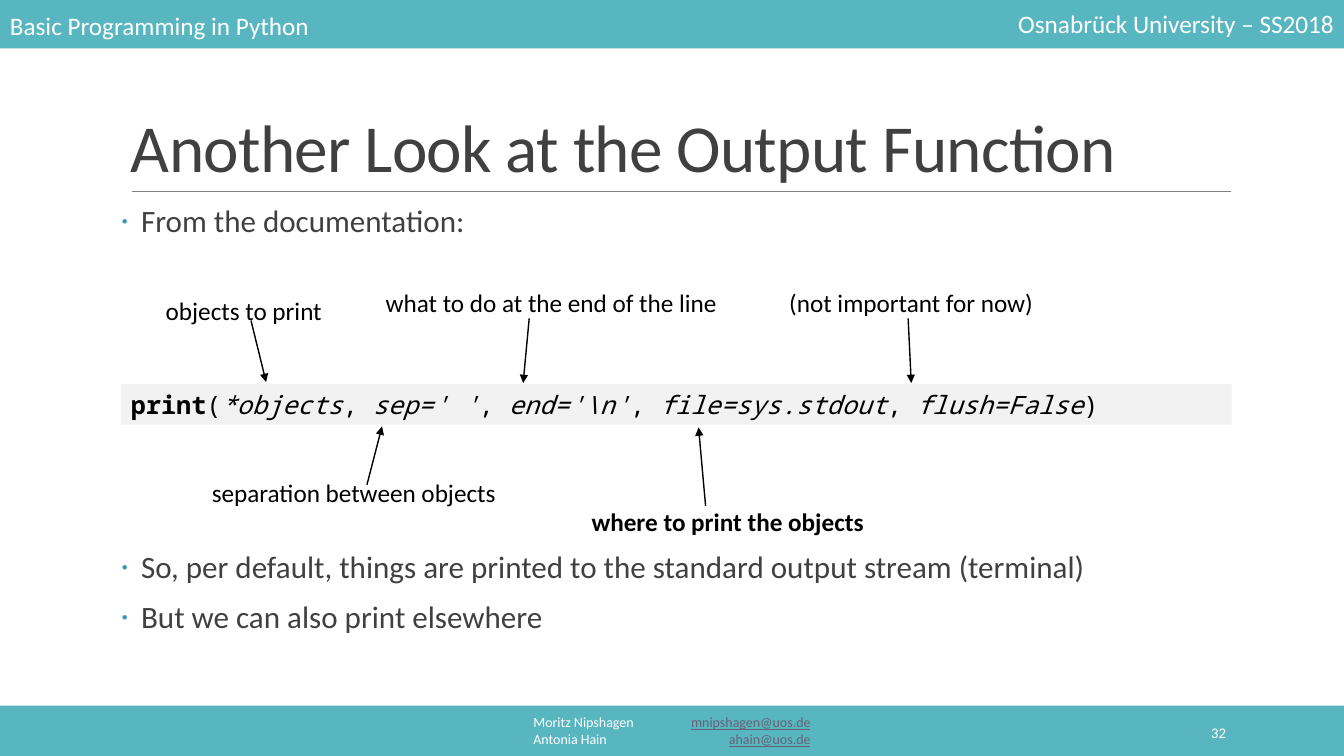
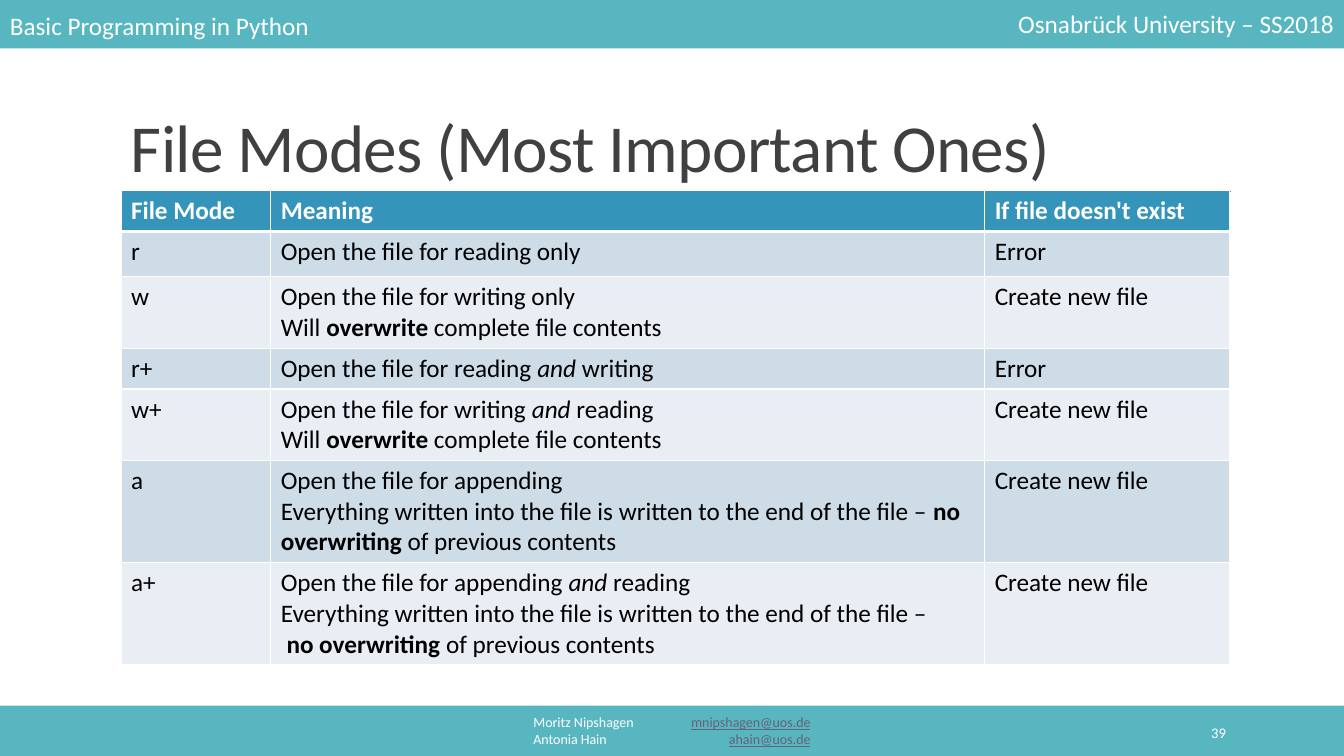
import lxml.etree
import pptx
import pptx.dml.color
import pptx.enum.shapes
import pptx.enum.text
import pptx.oxml.ns
import pptx.util

Pt = pptx.util.Pt
qn = pptx.oxml.ns.qn
ALIGN = pptx.enum.text.PP_ALIGN
ANCHOR = pptx.enum.text.MSO_ANCHOR
NBSP = chr(160)

COLORS = {
    "band": "58B6C0", "white": "FFFFFF", "black": "000000",
    "title": "404040", "rule": "808080", "accent": "3494BA",
    "link": "636378", "code": "F2F2F2", "odd": "CEDCE7", "even": "E8EEF3",
}


def rgb(name):
    return pptx.dml.color.RGBColor.from_string(COLORS[name])


def add_xml(parent, tag, **attrs):
    return lxml.etree.SubElement(parent, qn(tag), attrs)


def add_color(parent, name):
    add_xml(parent, "a:srgbClr", val=COLORS[name])


def add_run(p, text, size=18, color="black", font="Calibri", flags="", spacing=None):
    """Flags: b bold, i italic, u underlined link."""
    r = p.add_run()
    r.text = text
    r.font.name, r.font.size = font, Pt(size)
    r.font.bold, r.font.italic = "b" in flags, "i" in flags
    r.font.underline = "u" in flags
    r.font.color.rgb = rgb("link" if "u" in flags else color)
    if spacing:
        r.font._element.set("spc", str(int(spacing * 100)))


def write(tf, paragraphs, align=None, line_spacing=None, tab=None, bullet=False,
          gaps=(), **fmt):
    """Each paragraph is a string or a list of strings and (text, flags) pairs."""
    for i, pieces in enumerate(paragraphs):
        p = tf.paragraphs[0] if i == 0 else tf.add_paragraph()
        pPr = p._p.get_or_add_pPr()
        if bullet:
            pPr.set("marL", str(Pt(14.4)))
            pPr.set("indent", str(-Pt(14.4)))
            add_color(add_xml(pPr, "a:buClr"), "accent")
            add_xml(pPr, "a:buFont", typeface="Calibri")
            add_xml(pPr, "a:buChar", char="·")
        if tab:
            add_xml(add_xml(pPr, "a:tabLst"), "a:tab", pos=str(Pt(tab)), algn="r")
        if align is not None:
            p.alignment = align
        if line_spacing:
            p.line_spacing = line_spacing
        if gaps:
            p.space_before, p.space_after = Pt(gaps[i]), Pt(2)
        for piece in [pieces] if isinstance(pieces, str) else pieces:
            text, flags = (piece, fmt.get("flags", "")) if isinstance(piece, str) else piece
            add_run(p, text, **{**fmt, "flags": flags})


class Deck:
    def __init__(self):
        self.prs = pptx.Presentation()
        self.prs.slide_width, self.prs.slide_height = Pt(960), Pt(540)
        self.s = None

    def slide(self, title, number):
        self.s = self.prs.slides.add_slide(self.prs.slide_layouts[6])
        self.line((94.3, 136.8), (879.1, 136.8), "rule", 0.5)
        # Bands at top and bottom
        for y in (-1.4, 504):
            self.band(0, y, 960, 36)
        self.text(["Basic Programming in Python"], 0, 3.6, 379.4, 28.8,
                  anchor=ANCHOR.MIDDLE, color="white")
        self.text(["Osnabrück University – SS2018"], 580.6, 2.7, 379.4, 28.8,
                  anchor=ANCHOR.MIDDLE, align=ALIGN.RIGHT, color="white")
        self.text([["Moritz Nipshagen\t", ("mnipshagen@uos.de", "u")],
                   ["Antonia Hain\t", ("ahain@uos.de", "u")]],
                  290.3, 507.6, 379.4, 28.8, anchor=ANCHOR.MIDDLE,
                  align=ALIGN.CENTER, tab=198, size=10, color="white")
        self.text([str(number)], 779.8, 508.6, 103, 28.8, anchor=ANCHOR.MIDDLE,
                  align=ALIGN.RIGHT, size=10.5, color="white")
        # Title
        self.text([title], 86.4, 77.8, 792, 59, anchor=ANCHOR.BOTTOM,
                  line_spacing=0.85, size=48, color="title", spacing=-0.5)

    def band(self, x, y, w, h):
        sp = self.s.shapes.add_shape(pptx.enum.shapes.MSO_SHAPE.RECTANGLE,
                                     Pt(x), Pt(y), Pt(w), Pt(h))
        sp.shadow.inherit = False
        sp.fill.solid()
        sp.fill.fore_color.rgb = rgb("band")
        sp.line.fill.background()

    def text(self, paragraphs, x, y, w, h, anchor=ANCHOR.TOP, fill=None,
             side_margin=7.2, **fmt):
        sp = self.s.shapes.add_textbox(Pt(x), Pt(y), Pt(w), Pt(h))
        tf = sp.text_frame
        tf.word_wrap, tf.vertical_anchor = True, anchor
        tf.margin_left = tf.margin_right = Pt(side_margin)
        if fill:
            sp.fill.solid()
            sp.fill.fore_color.rgb = rgb(fill)
        write(tf, paragraphs, **fmt)

    def line(self, start, end, color="black", width=1, arrow=False):
        cn = self.s.shapes.add_connector(pptx.enum.shapes.MSO_CONNECTOR.STRAIGHT,
                                         *map(Pt, start + end))
        cn.line.color.rgb, cn.line.width = rgb(color), Pt(width)
        if arrow:
            add_xml(cn.get_or_add_ln(), "a:tailEnd", type="triangle")
        add_xml(cn._element.spPr, "a:effectLst")

    def table(self, rows, x, y, widths, heights):
        tbl = self.s.shapes.add_table(len(rows), len(widths), Pt(x), Pt(y),
                                      Pt(sum(widths)), Pt(sum(heights))).table
        for col, w in zip(tbl.columns, widths):
            col.width = Pt(w)
        for i, (row, h) in enumerate(zip(rows, heights)):
            tbl.rows[i].height = Pt(h)
            fill = "accent" if i == 0 else "odd" if i % 2 else "even"
            for j, paragraphs in enumerate(row):
                cell = tbl.cell(i, j)
                self.borders(cell, top=3 if i == 1 else 1, bottom=3 if i == 0 else 1)
                cell.fill.solid()
                cell.fill.fore_color.rgb = rgb(fill)
                write(cell.text_frame, paragraphs, flags="" if i else "b",
                      color="black" if i else "white")

    def borders(self, cell, top, bottom):
        tcPr = cell._tc.get_or_add_tcPr()
        for side, width in (("L", 1), ("R", 1), ("T", top), ("B", bottom)):
            ln = add_xml(tcPr, "a:ln" + side, w=str(Pt(width)))
            add_color(add_xml(ln, "a:solidFill"), "white")


def output_slide(deck):
    deck.slide("Another Look at the Output Function", 32)
    deck.text(["From the documentation:",
               "So, per default, things are printed to the standard output stream (terminal)",
               "But we can also print elsewhere"],
              86.4, 145.4, 792, 334.8, side_margin=0, bullet=True,
              line_spacing=0.8, gaps=(0, 224, 12), size=22.2, color="title")
    # Function signature
    deck.text([[("print", "b"), "(", ("*objects", "i"), ", ", ("sep=' '", "i"), ", ",
                (r"end='\n'", "i"), ", ", ("file=sys.stdout", "i"), ", ",
                ("flush=False", "i"), ")"]],
              86.4, 274.3, 793.4, 29, fill="code", font="Noto Sans Mono")
    # Arrows to the arguments
    for start, end in [((179.3, 229), (190.1, 272.9)),
                       ((262.1, 346.3), (272.9, 304.6)),
                       ((378, 227.5), (373.7, 273.6)),
                       ((504, 361.4), (499, 305.3)),
                       ((648.7, 227.5), (650.9, 273.6))]:
        deck.line(start, end, arrow=True)
    # Captions
    for caption, x, y, w, flags in [
            ("objects to print", 66.2, 207.4, 216, ""),
            ("separation between objects", 136.8, 337.7, 231.8, ""),
            ("what to do at the end of the line", 267.8, 201.6, 252, ""),
            ("where to print the objects", 403.9, 357.8, 231.8, "b"),
            ("(not important for now)", 542.9, 201.6, 216, "")]:
        deck.text([caption], x, y, w, 29, align=ALIGN.CENTER, flags=flags)


def modes_slide(deck):
    deck.slide("File Modes (Most Important Ones)", 39)
    error, create = ["Error"], ["Create new file"]
    overwrite = ["Will ", ("overwrite ", "b"), "complete file contents"]
    append = "Everything written into the file is written to the end of the file –"
    rest = "of previous contents"
    rows = [
        (["File Mode"], ["Meaning"], ["If file doesn't exist"]),
        (["r"], ["Open the file for reading only"], error),
        (["w"], ["Open the file for writing only", overwrite], create),
        (["r+"], [["Open the file for reading ", ("and ", "i"), "writing"]], error),
        (["w+"], [["Open the file for writing ", ("and ", "i"), "reading"], overwrite],
         create),
        (["a"], ["Open the file for appending",
                 [append + " ", ("no overwriting ", "b"), rest]], create),
        (["a+"], [["Open the file for appending ", ("and ", "i"), "reading"],
                  [append + NBSP, (f"no{NBSP}overwriting ", "b"), rest]], create),
    ]
    deck.table(rows, 86.4, 136.1, widths=(107, 510, 175),
               heights=(29.2, 32.4, 51, 29.2, 51, 73, 73))


def main():
    deck = Deck()
    output_slide(deck)
    modes_slide(deck)
    deck.prs.save("out.pptx")


if __name__ == "__main__":
    main()
